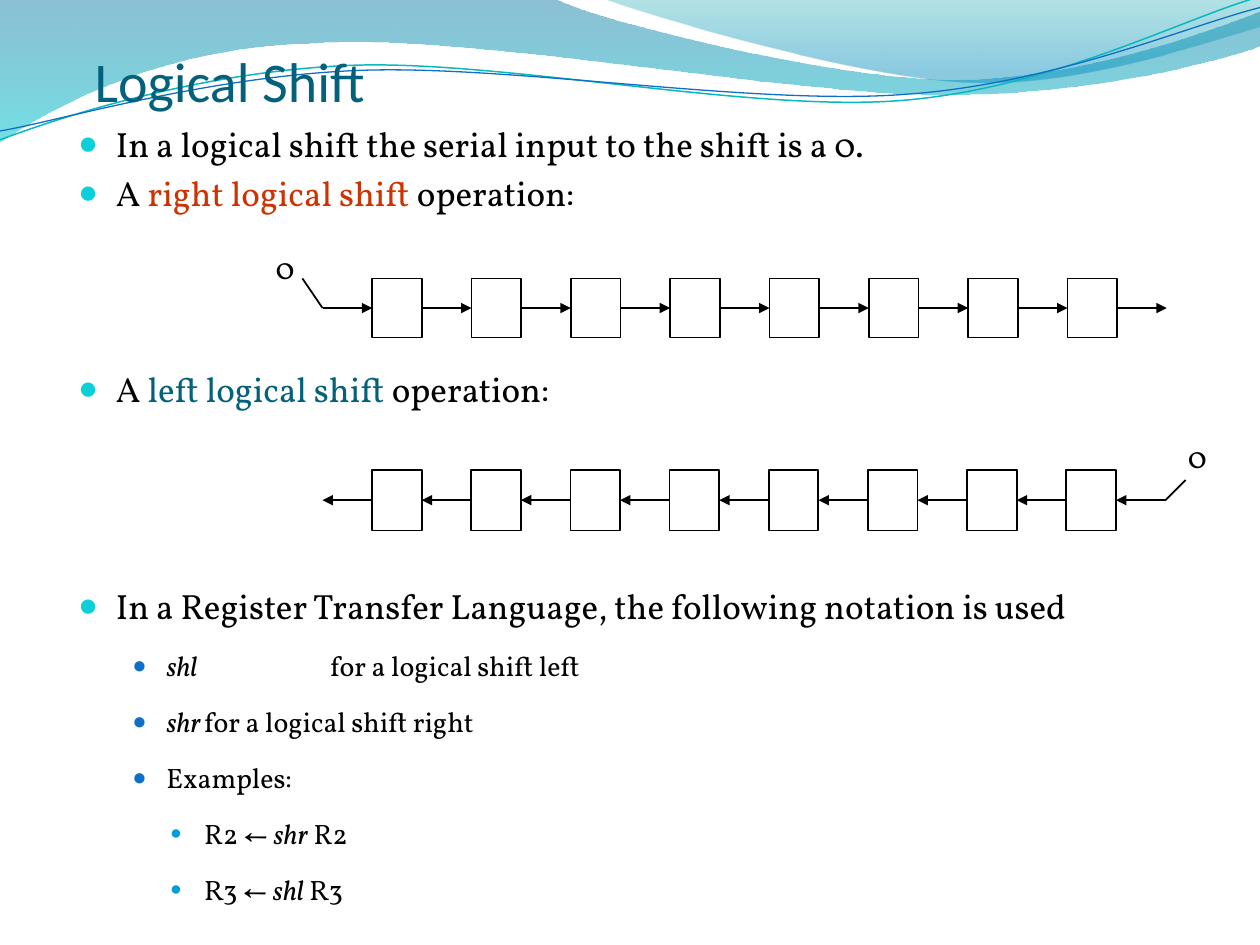
from dataclasses import dataclass

from lxml import etree
from pptx import Presentation
from pptx.dml.color import RGBColor
from pptx.enum.shapes import MSO_CONNECTOR, MSO_SHAPE
from pptx.enum.text import MSO_ANCHOR, MSO_AUTO_SIZE, PP_ALIGN
from pptx.oxml.ns import qn
from pptx.util import Inches, Pt

STRAIGHT, RECTANGLE = MSO_CONNECTOR.STRAIGHT, MSO_SHAPE.RECTANGLE
TOP, BOTTOM = MSO_ANCHOR.TOP, MSO_ANCHOR.BOTTOM
NO_FIT, FIT_SHAPE = MSO_AUTO_SIZE.NONE, MSO_AUTO_SIZE.SHAPE_TO_FIT_TEXT
LEFT, JUSTIFY = PP_ALIGN.LEFT, PP_ALIGN.JUSTIFY


@dataclass(frozen=True)
class Theme:
    heading_font: str = "Calibri"
    body_font: str = "Vollkorn"
    heading: str = "04617B"
    ink: str = "000000"
    right_shift: str = "CC3300"
    left_shift: str = "04617B"
    title_size: int = 32
    label_size: int = 18
    # Per outline level: text size, indent, hanging, bullet colour, bullet percent
    levels: tuple = (
        (20, 0.3, 0.3, "0BD0D9", 95),
        (16, 0.7, 0.27, "0F6FC6", 85),
        (16, 1.0, 0.27, "009DD9", 70),
    )
    # Gradient stops: position, colour, opacity percent
    broad_wave: tuple = ((0, "0074A1", 45), (1, "00C6CF", 55))
    crest_wave: tuple = ((0, "00A1A9", 30), (0.8, "008BBF", 45))
    upper_strand: str = "0AB8BF"
    lower_strand: str = "0F6FC6"


THEME = Theme()
DIAGRAM_GAP = 88  # points left open above a bullet for the diagram before it

# Each wave: start point, then (x, y) lines or (x1, y1, x2, y2, x, y) curves.
BROAD_WAVE = [
    (0, 0), (4.4, -0.01), (4.76, 0.17, 6.64, 0.63, 7.58, 0.63),
    (8.53, 0.63, 9.58, 0.26, 10, 0.09), (10.01, 0.36),
    (9.83, 0.44, 8.7, 0.76, 7.46, 0.75), (6.22, 0.75, 3.82, 0.28, 2.57, 0.34),
    (1.29, 0.36, 0.46, 0.83, -0.01, 1.13), (0, 0),
]
CREST_WAVE = [
    (4.79, -0.01), (5.09, 0.11, 6.82, 0.62, 7.69, 0.65),
    (8.56, 0.69, 9.61, 0.32, 10, 0.21), (10, 0), (4.79, -0.01),
]
UPPER_STRAND = [
    (0, 1.11), (0.48, 0.93, 1.58, 0.57, 2.77, 0.52),
    (3.95, 0.47, 5.93, 0.89, 7.13, 0.8), (8.33, 0.71, 9.38, 0.15, 9.98, -0.02),
]
LOWER_STRAND = [
    (0, 1.04), (0.47, 0.96, 1.64, 0.61, 2.83, 0.56),
    (4.03, 0.51, 5.97, 0.84, 7.17, 0.75), (8.36, 0.67, 9.41, 0.21, 10, 0.06),
]

# Each bullet: level, space before, line spacing, runs of (text, colour, italic).
INK = THEME.ink
BULLETS = [
    (0, 0, 1, [("In a logical shift the serial input to the shift is a 0.", INK, False)]),
    (0, 4, 1, [("A ", INK, False), ("right logical shift", THEME.right_shift, False),
               (" operation:", INK, False)]),
    (0, DIAGRAM_GAP, 1, [("A ", INK, False), ("left logical shift", THEME.left_shift, False),
                         (" operation:", INK, False)]),
    (0, DIAGRAM_GAP, 1.5,
     [("In a Register Transfer Language, the following notation is used", INK, False)]),
    (1, 3.2, 1.5, [("shl", INK, True), ("\tfor a logical shift left", INK, False)]),
    (1, 3.2, 1.5, [("shr", INK, True), ("\tfor a logical shift right", INK, False)]),
    (1, 3.2, 1.5, [("Examples:", INK, False)]),
    (2, 3.2, 1.5, [("R2 ← ", INK, False), ("shr", INK, True), (" R2", INK, False)]),
    (2, 3.2, 1.5, [("R3 ← ", INK, False), ("shl", INK, True), (" R3", INK, False)]),
]
TAB_STOPS = {4: 2, 5: 1}  # bullet index: inches


def rgb(value):
    return RGBColor.from_string(value)


def add_run(paragraph, text, font_name, size, color, italic=False):
    run = paragraph.add_run()
    run.text = text
    run.font.name, run.font.size, run.font.italic = font_name, Pt(size), italic
    run.font.color.rgb = rgb(color)


def add_outline(shapes, outline, close):
    """Draw an outline, merging each curve's three points into one Bézier segment."""
    points = [(Inches(segment[i]), Inches(segment[i + 1]))
              for segment in outline for i in range(0, len(segment), 2)]
    builder = shapes.build_freeform(*points[0])
    builder.add_line_segments(points[1:], close=close)
    shape = builder.convert_to_shape()
    shape.shadow.inherit = False
    lines = iter(list(shape.element.iter(qn("a:lnTo"))))
    for segment in outline[1:]:
        first = next(lines)
        if len(segment) == 6:
            first.tag = qn("a:cubicBezTo")
            for _ in range(2):
                control = next(lines)
                first.append(control[0])
                control.getparent().remove(control)
    return shape


def add_wave(shapes, outline, stops):
    wave = add_outline(shapes, outline, True)
    wave.line.fill.background()
    wave.fill.gradient()
    wave.fill.gradient_angle = 270
    for stop, (position, color, _) in zip(wave.fill.gradient_stops, stops):
        stop.position, stop.color.rgb = position, rgb(color)
    for color_xml, (_, _, opacity) in zip(wave.element.iter(qn("a:srgbClr")), stops):
        etree.SubElement(color_xml, qn("a:alpha"), val=str(opacity * 1000))


def add_header_waves(shapes):
    add_wave(shapes, BROAD_WAVE, THEME.broad_wave)
    add_wave(shapes, CREST_WAVE, THEME.crest_wave)
    strands = shapes.add_group_shape().shapes
    for outline, color, width in ((UPPER_STRAND, THEME.upper_strand, 0.85),
                                  (LOWER_STRAND, THEME.lower_strand, 0.75)):
        strand = add_outline(strands, outline, False)
        strand.fill.background()
        strand.line.color.rgb, strand.line.width = rgb(color), Pt(width)


def place_placeholder(placeholder, box, anchor):
    """Move a placeholder to its box, in front of what is already drawn."""
    placeholder.element.getparent().append(placeholder.element)
    placeholder.left, placeholder.top, placeholder.width, placeholder.height = map(Inches, box)
    frame = placeholder.text_frame
    frame.auto_size, frame.vertical_anchor, frame.word_wrap = NO_FIT, anchor, True
    return frame


def fill_title(title, box):
    frame = place_placeholder(title, box, BOTTOM)
    frame.margin_left = frame.margin_right = frame.margin_bottom = 0
    heading = frame.paragraphs[0]
    heading.alignment = LEFT
    add_run(heading, "Logical Shift", THEME.heading_font, THEME.title_size, THEME.heading)


def fill_bullets(body, box):
    frame = place_placeholder(body, box, TOP)
    for index, (level, before, spacing, runs) in enumerate(BULLETS):
        size, indent, hanging, bullet_color, percent = THEME.levels[level]
        bullet = frame.paragraphs[0] if index == 0 else frame.add_paragraph()
        bullet.level, bullet.alignment = level, JUSTIFY if spacing > 1 else LEFT
        bullet.space_before, bullet.space_after = Pt(before), Pt(0)
        bullet.line_spacing = float(spacing)
        props = bullet._p.get_or_add_pPr()
        props.set("marL", str(Inches(indent)))
        props.set("indent", str(-Inches(hanging)))
        color_xml = etree.SubElement(props, qn("a:buClr"))
        etree.SubElement(color_xml, qn("a:srgbClr"), val=bullet_color)
        etree.SubElement(props, qn("a:buSzPct"), val=str(percent * 1000))
        etree.SubElement(props, qn("a:buChar"), char="●")
        if index in TAB_STOPS:
            tabs = etree.SubElement(props, qn("a:tabLst"))
            etree.SubElement(tabs, qn("a:tab"), pos=str(Inches(TAB_STOPS[index])), algn="l")
        for text, color, italic in runs:
            add_run(bullet, text, THEME.body_font, size, color, italic)


def add_wire(shapes, start, end, arrow=False):
    wire = shapes.add_connector(STRAIGHT, *map(Inches, (*start, *end)))
    wire.line.color.rgb, wire.line.width = rgb(THEME.ink), Pt(1)
    if arrow:
        etree.SubElement(wire.line._get_or_add_ln(), qn("a:tailEnd"), type="triangle")
    etree.SubElement(wire.element.spPr, qn("a:effectLst"))


def add_register(shapes, box, feed, label_at, to_right, cells=8):
    """Draw a row of bit cells joined by arrows, with a 0 fed in at one end."""
    left, top, width, height = box
    unit = width / (2 * cells + 1)
    middle = top + height / 2
    register = shapes.add_group_shape().shapes
    for index in range(cells + 1):
        x = left + 2 * index * unit
        ends = [(x, middle), (x + unit, middle)]
        add_wire(register, *(ends if to_right else ends[::-1]), arrow=True)
        if index < cells:
            cell = register.add_shape(RECTANGLE, *map(Inches, (x + unit, top, unit, height)))
            cell.shadow.inherit = False
            cell.fill.background()
            cell.line.color.rgb, cell.line.width = rgb(THEME.ink), Pt(1)
    add_wire(register, (left if to_right else left + width, middle), feed)
    label = register.add_textbox(*map(Inches, (*label_at, 0.34, 0.37))).text_frame
    label.word_wrap, label.auto_size = False, FIT_SHAPE
    add_run(label.paragraphs[0], "0", THEME.body_font, THEME.label_size, THEME.ink)


def main():
    deck = Presentation()
    deck.slide_width, deck.slide_height = Inches(10), Inches(7.5)
    slide = deck.slides.add_slide(deck.slide_layouts[1])
    add_header_waves(slide.shapes)
    fill_title(slide.shapes.title, (0.75, 0.42, 4.67, 0.48))
    fill_bullets(slide.placeholders[1], (0.52, 0.92, 8.97, 6.5))
    add_register(slide.shapes, (2.56, 2.21, 6.7, 0.47), (2.4, 2.21), (2.09, 1.92), True)
    add_register(slide.shapes, (2.56, 3.73, 6.69, 0.48), (9.41, 3.81), (9.33, 3.42), False)
    deck.save("out.pptx")


if __name__ == "__main__":
    main()
